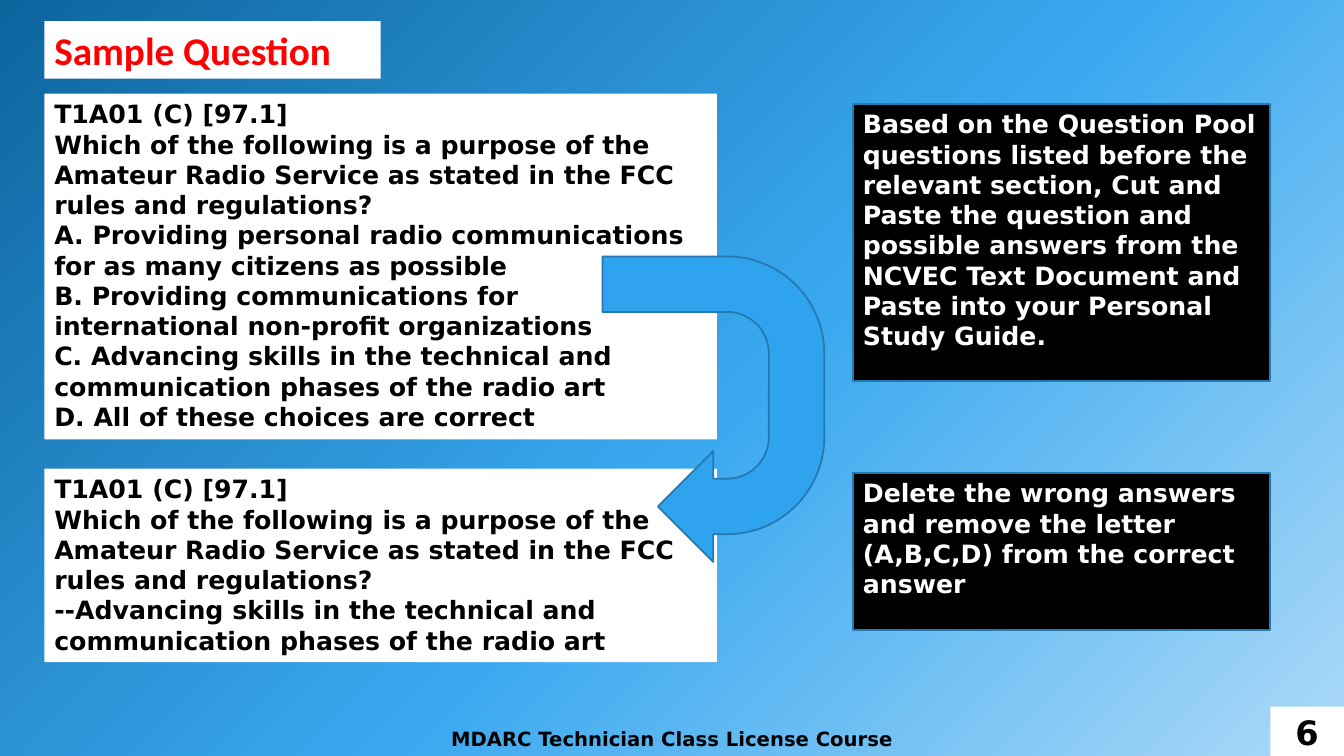
"""Build the sample question slide of a radio licence course."""
from lxml import etree
from pptx import Presentation
from pptx import util as u
from pptx.dml.color import RGBColor
from pptx.enum import shapes, text
from pptx.oxml.ns import qn

COLORS = {"white": "FFFFFF", "black": "000000", "red": "FF0000",
          "arrow": "2FA3EE", "edge": "2379B0"}
GRADIENT = [(0, "ACDAF8"), (46, "39A8EF"), (100, "0D659E")]
BODY, HEADING = "DejaVu Sans", "Calibri"

QUESTION = [
    "T1A01 (C) [97.1]",
    "Which of the following is a purpose of the Amateur Radio Service as stated in the FCC rules and regulations?",
]
CHOICES = [
    "A. Providing personal radio communications for as many citizens as possible",
    "B. Providing communications for international non-profit organizations",
    "C. Advancing skills in the technical and communication phases of the radio art",
    "D. All of these choices are correct",
]
ANSWER = ["--Advancing skills in the technical and communication phases of the radio art"]
PASTE_STEP = ["Based on the Question Pool questions listed before the relevant section, Cut and Paste "
              "the question and possible answers from the NCVEC Text Document and Paste into your "
              "Personal Study Guide."]
DELETE_STEP = ["Delete the wrong answers and remove the letter (A,B,C,D) from the correct answer"]
FOOTER = ["MDARC Technician Class License Course"]

WIDTH, HEIGHT = 13.33, 7.5
LEFT, CARD_W = 0.44, 6.67
RIGHT, STEP_W = 8.46, 4.14
NUMBER_X = RIGHT + STEP_W
FOOTER_W = 5.78

CARDS = [
    ((LEFT, 0.93, CARD_W, 3.43), QUESTION + CHOICES),
    ((LEFT, 4.65, CARD_W, 1.92), QUESTION + ANSWER),
]
STEPS = [
    ((RIGHT, 1.03, STEP_W, 2.75), PASTE_STEP),
    ((RIGHT, 4.69, STEP_W, 1.56), DELETE_STEP),
]
ARROW = (5.56, 2.96, 3.03, 2.2)


def rgb(name):
    return RGBColor.from_string(COLORS[name])


def paint_background(s):
    fill = s.background.fill
    fill.gradient()
    grad = s.background._cSld.find(".//" + qn("a:gradFill"))
    for child in list(grad):
        grad.remove(child)
    stops = etree.SubElement(grad, qn("a:gsLst"))
    for pos, color in GRADIENT:
        stop = etree.SubElement(stops, qn("a:gs"), pos=str(pos * 1000))
        etree.SubElement(stop, qn("a:srgbClr"), val=color)
    circle = etree.SubElement(grad, qn("a:path"), {"path": "circle"})
    etree.SubElement(circle, qn("a:fillToRect"), l="100000", t="100000")


def add_shape(s, kind, box, fill, edge=None):
    sp = s.shapes.add_shape(kind, *map(u.Inches, box))
    sp.shadow.inherit = False
    sp.fill.solid()
    sp.fill.fore_color.rgb = rgb(fill)
    if edge:
        sp.line.color.rgb = rgb(edge)
        sp.line.width = u.Pt(1.25)
    else:
        sp.line.fill.background()
    return sp


def write(sp, lines, size=18, color="black", font=BODY, align=text.PP_ALIGN.LEFT, grow=True):
    tf = sp.text_frame
    tf.word_wrap = True
    tf.vertical_anchor = text.MSO_ANCHOR.TOP
    tf.auto_size = text.MSO_AUTO_SIZE.SHAPE_TO_FIT_TEXT if grow else text.MSO_AUTO_SIZE.NONE
    for i, line in enumerate(lines):
        p = tf.add_paragraph() if i else tf.paragraphs[0]
        p.text = line
        p.alignment = align
        p.font.size, p.font.name, p.font.bold = u.Pt(size), font, True
        p.font.color.rgb = rgb(color)


def main():
    prs = Presentation()
    prs.slide_width, prs.slide_height = u.Inches(WIDTH), u.Inches(HEIGHT)
    s = prs.slides.add_slide(prs.slide_layouts[6])
    paint_background(s)
    rect, center = shapes.MSO_SHAPE.RECTANGLE, text.PP_ALIGN.CENTER

    for box, lines in CARDS:
        write(add_shape(s, rect, box, "white"), lines)
    arrow = add_shape(s, shapes.MSO_SHAPE.U_TURN_ARROW, ARROW, "arrow", "edge")
    arrow.rotation = 90
    for box, lines in STEPS:
        write(add_shape(s, rect, box, "black", "edge"), lines, color="white", grow=False)

    footer_box = ((WIDTH - FOOTER_W) / 2, 7.16, FOOTER_W, 0.34)
    write(s.shapes.add_textbox(*map(u.Inches, footer_box)), FOOTER, 14, align=center)
    number_box = (NUMBER_X, 7.01, WIDTH - NUMBER_X, 0.5)
    write(add_shape(s, rect, number_box, "white"), ["6"], 24, align=center)
    title_box = (LEFT, 0.21, CARD_W / 2, 0.57)
    write(add_shape(s, rect, title_box, "white"), ["Sample Question"], 28, "red", HEADING)

    prs.save("out.pptx")


if __name__ == "__main__":
    main()
